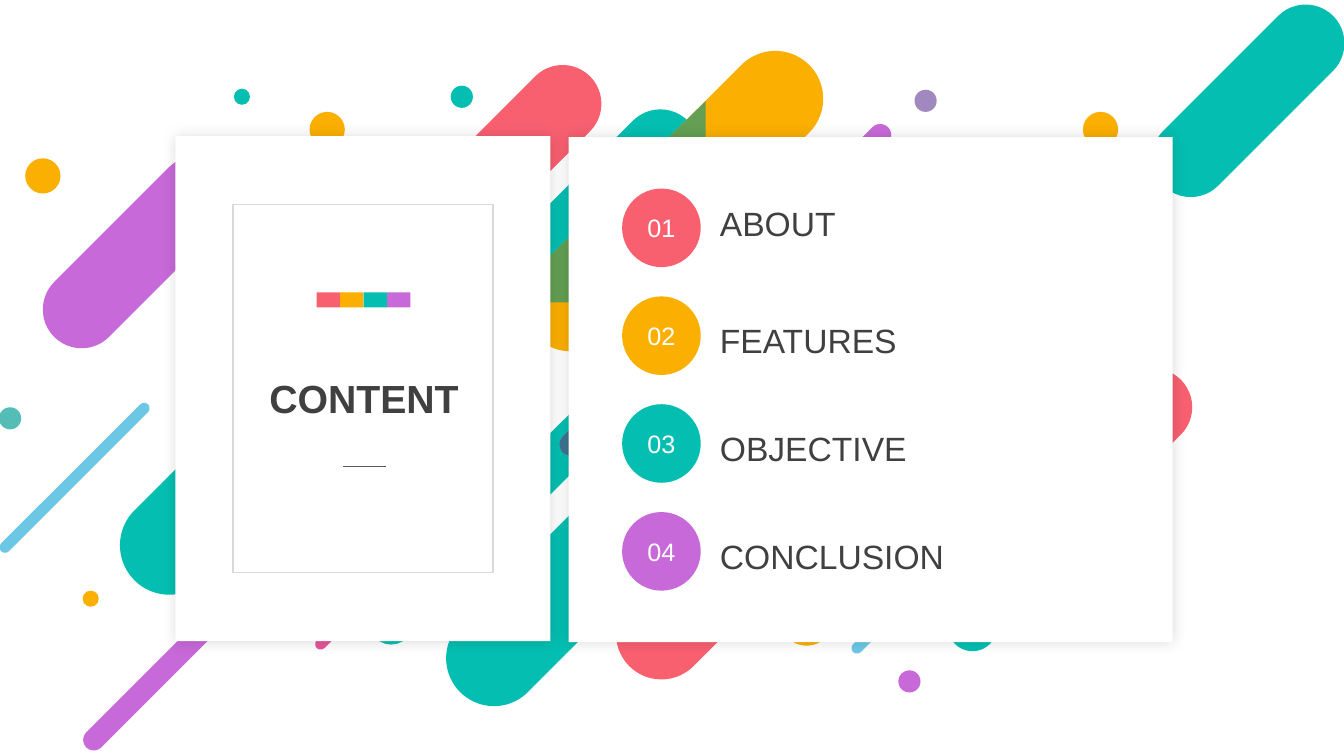
import math
from dataclasses import dataclass

import lxml.etree
import pptx
import pptx.dml.color
import pptx.enum.shapes
import pptx.enum.text
import pptx.oxml
import pptx.oxml.ns
import pptx.util

Inches, Pt = pptx.util.Inches, pptx.util.Pt
RGB = pptx.dml.color.RGBColor.from_string
SHAPE = pptx.enum.shapes.MSO_SHAPE
ALIGN = pptx.enum.text.PP_ALIGN
ANCHOR = pptx.enum.text.MSO_ANCHOR
qn = pptx.oxml.ns.qn


@dataclass(frozen=True)
class Theme:
    font: str = "Arial"
    white: str = "FFFFFF"
    text: str = "404040"
    rule: str = "595959"
    frame: str = "D9D9D9"
    red: str = "F86070"
    amber: str = "FBAF01"
    teal: str = "04BFB1"
    violet: str = "C769D8"
    blue: str = "6CC7E5"
    rose: str = "E5579A"
    mauve: str = "A188BE"
    sea: str = "54BDB5"
    green: str = "649F53"
    slate: str = "3E738F"
    title_size: int = 28
    item_size: int = 24
    number_size: int = 18


T = Theme()
ACCENTS = [T.red, T.amber, T.teal, T.violet]
ITEMS = ["ABOUT", "FEATURES", "OBJECTIVE", "CONCLUSION"]

# Diagonal bars: centre of the lower-left end, horizontal run, thickness, colour
BARS = [
    (3.18, 6.39, 1.45, 0.11, T.rose),
    (5.41, 2.61, 1.14, 0.77, T.teal),
    (11.81, 1.57, 1.14, 0.77, T.teal),
    (1.68, 5.41, 1.45, 0.98, T.teal),
    (4.44, 2.17, 1.14, 0.77, T.red),
    (0.81, 3.07, 1.14, 0.77, T.violet),
    (10.31, 5.17, 1.13, 0.77, T.red),
    (8.0, 6.14, 0.8, 0.53, T.amber),
    (4.9, 6.53, 2.03, 0.95, T.teal),
    (6.56, 6.29, 1.9, 0.9, T.red),
    (5.66, 3.01, 2.03, 0.95, T.amber),
    (3.88, 6.18, 2.02, 0.43, T.teal),
    (5.66, 4.41, 3.07, 0.22, T.violet),
    (5.66, 4.41, 0.34, 0.22, T.slate),
    (0.93, 7.34, 3.07, 0.21, T.violet),
    (8.5, 6.43, 1.38, 0.11, T.blue),
    (0.05, 5.43, 1.38, 0.11, T.blue),
]

# Dots: left, top, diameter, colour
DOTS = [
    (9.07, 0.89, 0.22, T.mauve), (9.4, 5.97, 0.49, T.teal),
    (4.47, 0.85, 0.22, T.teal), (-0.01, 4.04, 0.22, T.sea),
    (8.91, 6.65, 0.22, T.violet), (3.07, 1.11, 0.35, T.amber),
    (0.25, 1.57, 0.35, T.amber), (10.74, 1.11, 0.35, T.amber),
    (2.32, 0.88, 0.16, T.teal), (0.82, 5.86, 0.16, T.amber),
]


def paint(sp, color):
    sp.shadow.inherit = False
    sp.fill.solid()
    sp.fill.fore_color.rgb = RGB(color)
    sp.line.fill.background()
    return sp


def add_shape(s, kind, x, y, w, h, color):
    return paint(s.shapes.add_shape(kind, Inches(x), Inches(y), Inches(w), Inches(h)), color)


def add_run(p, text, size, color, bold=False):
    r = p.add_run()
    r.text = text
    r.font.name, r.font.size, r.font.bold = T.font, Pt(size), bold
    r.font.color.rgb = RGB(color)


def place(ph, x, y, w, h, anchor):
    """Move a placeholder to its box, in front of everything drawn so far."""
    ph.left, ph.top, ph.width, ph.height = map(Inches, (x, y, w, h))
    ph.element.getparent().append(ph.element)
    tf = ph.text_frame
    tf.word_wrap, tf.vertical_anchor = True, anchor
    tf.auto_size = pptx.enum.text.MSO_AUTO_SIZE.NONE
    return tf


def add_bar(s, x, y, run, d, color):
    length = run * math.sqrt(2) + d
    sp = add_shape(s, SHAPE.ROUNDED_RECTANGLE, x + run / 2 - length / 2,
                   y - run / 2 - d / 2, length, d, color)
    sp.adjustments[0] = 0.5
    sp.rotation = -45


def arc(cx, cy, radius, start, end, steps=16):
    angles = [math.radians(start + (end - start) * i / steps) for i in range(steps + 1)]
    return [(cx + radius * math.cos(a), cy + radius * math.sin(a)) for a in angles]


def background(s):
    for bar in BARS:
        add_bar(s, *bar)
    # Overlap of the teal and amber bars
    points = (arc(6.55, 1.47, 0.38, -45, 45) + arc(5.41, 2.61, 0.38, 45, 127)
              + arc(5.66, 3.01, 0.48, 190, 225))
    fb = s.shapes.build_freeform(*points[0], scale=Inches(1))
    fb.add_line_segments(points[1:], close=True)
    paint(fb.convert_to_shape(), T.green)
    for x, y, d, color in DOTS:
        add_shape(s, SHAPE.OVAL, x, y, d, d, color)


def card(s, x, y, w, h):
    sp = add_shape(s, SHAPE.RECTANGLE, x, y, w, h, T.white)
    effects = sp.element.spPr.find(qn("a:effectLst"))
    shadow = lxml.etree.SubElement(effects, qn("a:outerShdw"), blurRad=str(Pt(10)), dist="0",
                                   algn="ctr", rotWithShape="0")
    color = lxml.etree.SubElement(shadow, qn("a:srgbClr"), val="000000")
    lxml.etree.SubElement(color, qn("a:alpha"), val="15000")


def title_card(s, x, y, w, h):
    # Colour strip
    step = 0.233
    for i, color in enumerate(ACCENTS):
        add_shape(s, SHAPE.RECTANGLE, x + 1.4 + i * step, y + 1.55, step, 0.15, color)
    # Frame
    frame = add_shape(s, SHAPE.RECTANGLE, x + 0.57, y + 0.68, 2.58, 3.65, T.white)
    frame.fill.background()
    frame.line.color.rgb, frame.line.width = RGB(T.frame), Pt(1)
    # Title
    tf = place(s.shapes.title, x + 0.23, y + 2.31, 3.28, 0.57, ANCHOR.MIDDLE)
    p = tf.paragraphs[0]
    p.alignment = ALIGN.CENTER
    add_run(p, "CONTENT", T.title_size, T.text, bold=True)
    # Short rule
    line = s.shapes.add_connector(pptx.enum.shapes.MSO_CONNECTOR.STRAIGHT, Inches(x + 1.66),
                                  Inches(y + 3.28), Inches(x + 2.09), Inches(y + 3.28))
    line.line.color.rgb, line.line.width = RGB(T.rule), Pt(0.5)
    lxml.etree.SubElement(line.element.spPr, qn("a:effectLst"))


def agenda(s, x, y, w, h):
    # Numbered circles
    for i, color in enumerate(ACCENTS):
        sp = add_shape(s, SHAPE.OVAL, x + 0.53, y + 0.51 + i * 1.07, 0.78, 0.78, color)
        tf = sp.text_frame
        tf.vertical_anchor = ANCHOR.MIDDLE
        p = tf.paragraphs[0]
        p.alignment = ALIGN.CENTER
        add_run(p, f"{i + 1:02}", T.number_size, T.white)
    # Item list
    tf = place(s.placeholders[1], x + 1.4, y + 0.6, 4.38, 3.76, ANCHOR.TOP)
    for i, (item, gap) in enumerate(zip(ITEMS, (0, 55, 48, 48.7))):
        p = tf.paragraphs[0] if i == 0 else tf.add_paragraph()
        p.space_before = Pt(gap)
        pPr = p._p.get_or_add_pPr()
        pPr.set("marL", "0")
        pPr.set("indent", "0")
        lxml.etree.SubElement(pPr, qn("a:buNone"))
        add_run(p, item, T.item_size, T.text)


def main():
    prs = pptx.Presentation()
    prs.slide_width, prs.slide_height = Inches(13.33), Inches(7.5)
    s = prs.slides.add_slide(prs.slide_layouts[1])
    title_box, agenda_box = (1.74, 1.35, 3.72, 5.01), (5.64, 1.36, 5.99, 5.01)
    background(s)
    card(s, *title_box)
    card(s, *agenda_box)
    title_card(s, *title_box)
    agenda(s, *agenda_box)
    prs.save("out.pptx")


if __name__ == "__main__":
    main()
